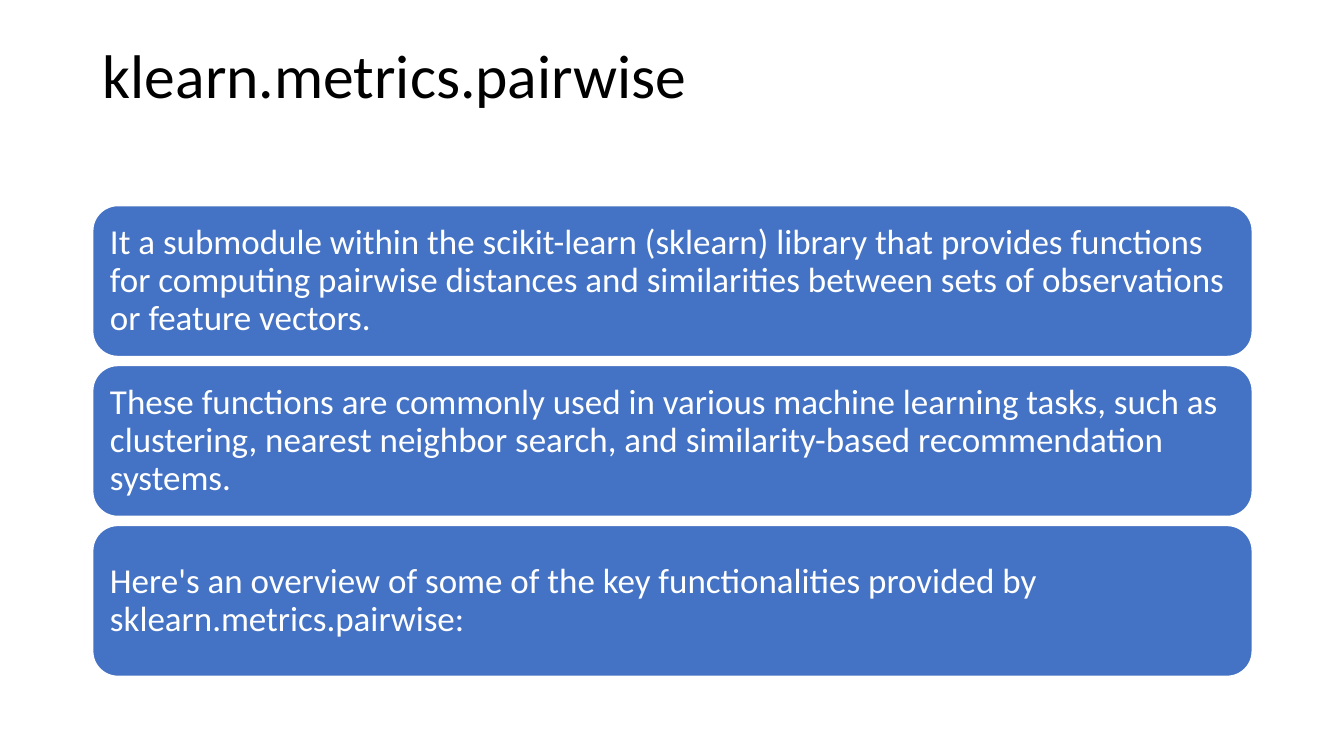
from pptx import Presentation
from pptx.dml.color import RGBColor
from pptx.enum.shapes import MSO_SHAPE
from pptx.enum.text import MSO_ANCHOR, PP_ALIGN
from pptx.util import Inches, Pt

ROUNDED = MSO_SHAPE.ROUNDED_RECTANGLE
TOP, MIDDLE = MSO_ANCHOR.TOP, MSO_ANCHOR.MIDDLE
LEFT = PP_ALIGN.LEFT
TITLE_ONLY = 5

WIDTH, HEIGHT = 13.33, 7.5
MARGIN, CONTENT_WIDTH = 0.92, 11.5
TITLE_BOX = (MARGIN, 0.4, CONTENT_WIDTH, 1.45)
CARDS_BOX = (MARGIN, 2.04, CONTENT_WIDTH, 4.67)
CARD_GAP = 0.09

TITLE_FONT = {"name": "Calibri", "size": Pt(44), "bold": False}
CARD_FONT = {"name": "Calibri", "size": Pt(25)}
CARD_FRAME = {
    "word_wrap": True,
    "vertical_anchor": MIDDLE,
    "margin_left": Inches(0.1),
    "margin_right": Inches(0.1),
    "margin_top": Inches(0.1),
    "margin_bottom": Inches(0.1),
}
TITLE_FRAME = {"word_wrap": True, "vertical_anchor": TOP}
PARAGRAPH = {"alignment": LEFT, "line_spacing": 0.9}

CARDS = [
    "It a submodule within the scikit-learn (sklearn) library that provides "
    "functions for computing pairwise distances and similarities between sets "
    "of observations or feature vectors.",
    "These functions are commonly used in various machine learning tasks, such "
    "as clustering, nearest neighbor search, and similarity-based "
    "recommendation systems.",
    "Here's an overview of some of the key functionalities provided by "
    "sklearn.metrics.pairwise:",
]


def color(value):
    return RGBColor.from_string(value)


def apply(target, values):
    for name, value in values.items():
        setattr(target, name, value)


def write(frame, text, frame_format, font, ink):
    frame.text = text
    apply(frame, frame_format)
    para = frame.paragraphs[0]
    apply(para, PARAGRAPH)
    apply(para.font, font)
    para.font.color.rgb = color(ink)


def add_title(page, box, text):
    title = page.shapes.title
    places = map(Inches, box)
    apply(title, dict(zip(("left", "top", "width", "height"), places)))
    write(title.text_frame, text, TITLE_FRAME, TITLE_FONT, "000000")


def add_cards(page, box, texts):
    left, top, width, height = box
    card_height = (height - CARD_GAP * (len(texts) - 1)) / len(texts)
    for row, text in enumerate(texts):
        card_top = top + row * (card_height + CARD_GAP)
        places = map(Inches, (left, card_top, width, card_height))
        card = page.shapes.add_shape(ROUNDED, *places)
        card.shadow.inherit = False
        card.fill.solid()
        card.fill.fore_color.rgb = color("4472C4")
        card.line.color.rgb = color("FFFFFF")
        card.line.width = Pt(1)
        write(card.text_frame, text, CARD_FRAME, CARD_FONT, "FFFFFF")


def main():
    deck = Presentation()
    deck.slide_width, deck.slide_height = Inches(WIDTH), Inches(HEIGHT)
    page = deck.slides.add_slide(deck.slide_layouts[TITLE_ONLY])
    add_title(page, TITLE_BOX, "klearn.metrics.pairwise")
    add_cards(page, CARDS_BOX, CARDS)
    deck.save("out.pptx")


if __name__ == "__main__":
    main()
